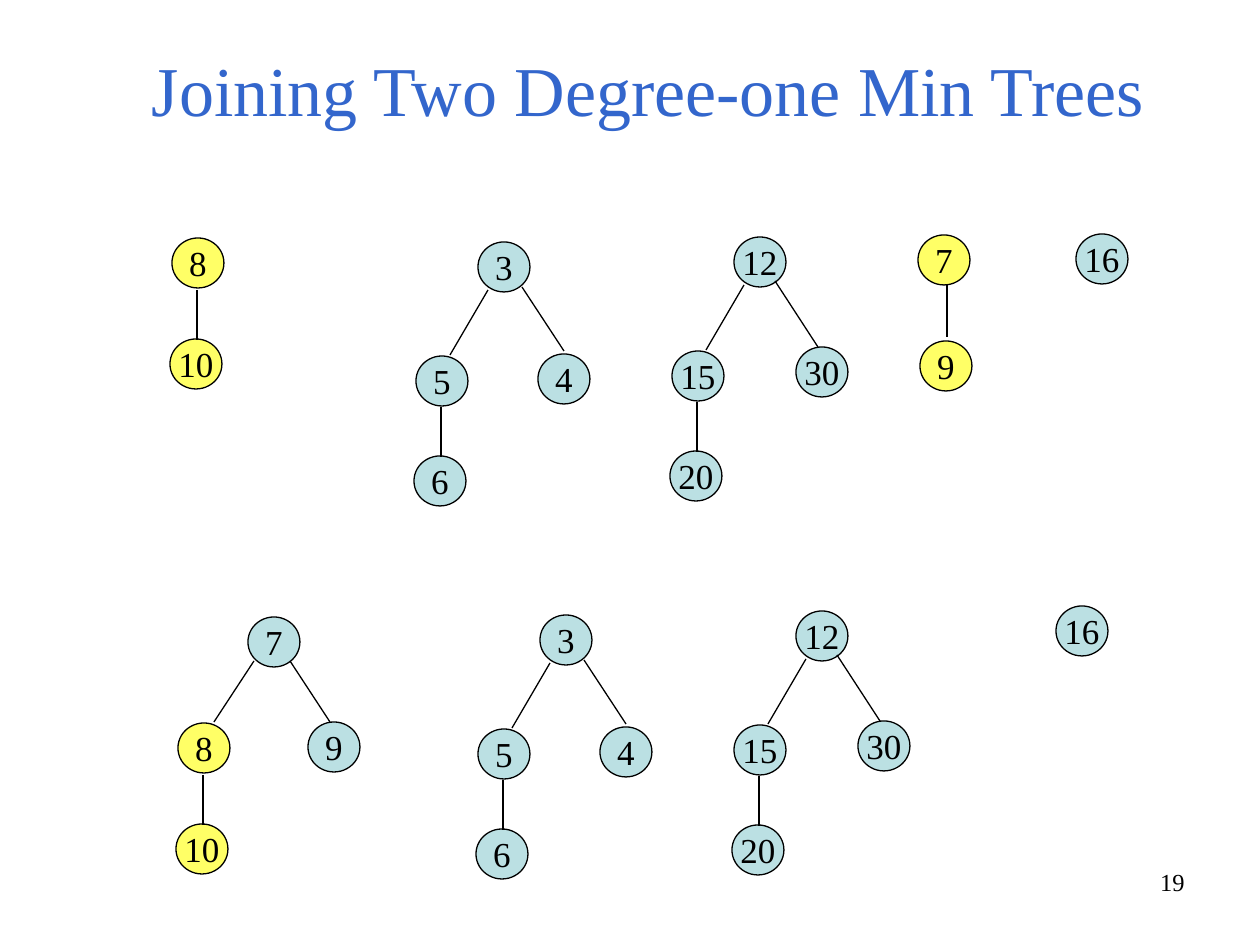
from dataclasses import dataclass

import pptx
import pptx.dml.color
import pptx.enum.shapes
import pptx.enum.text
import pptx.util
from lxml import etree

EMU_PER_PX = 914400 / 126
FONT = "Times New Roman"
COLORS = {
    "ink": "000000",
    "title": "3366CC",
    "node": "BBE0E3",
    "joined": "FFFF66",
}
NODE_WIDTH, NODE_HEIGHT = 52, 50
ALIGN = pptx.enum.text.PP_ALIGN
ANCHOR = pptx.enum.text.MSO_ANCHOR


@dataclass(frozen=True)
class Node:
    label: str
    x: int
    y: int
    fill: str = "node"


@dataclass(frozen=True)
class Edge:
    x1: int
    y1: int
    x2: int
    y2: int


@dataclass(frozen=True)
class Tree:
    nodes: tuple[Node, ...]
    edges: tuple[Edge, ...] = ()


def degree_two_tree(labels: tuple[str, str, str], right: Node, right_edge: Edge) -> Tree:
    root, left, leaf = labels
    return Tree(
        (Node(root, 0, 0), Node(left, -62, 114), Node(leaf, -64, 214), right),
        (Edge(10, 48, -28, 113), Edge(-37, 165, -37, 215), right_edge),
    )


EIGHT = Tree(
    (Node("8", 0, 0, "joined"), Node("10", -2, 101, "joined")),
    (Edge(25, 52, 25, 102),),
)
SEVEN = Tree(
    (Node("7", 0, 0, "joined"), Node("9", 2, 106, "joined")),
    (Edge(29, 50, 29, 102),),
)
JOINED_SEVEN = Tree(
    (Node("7", 0, 0), Node("9", 60, 105)),
    (Edge(6, 44, -34, 105), Edge(42, 44, 82, 105)),
)
THREE = degree_two_tree(("3", "5", "6"), Node("4", 60, 112), Edge(44, 45, 86, 109))
TWELVE = degree_two_tree(("12", "15", "20"), Node("30", 62, 110), Edge(41, 44, 84, 110))
SIXTEEN = Tree((Node("16", 0, 0),))

PLACED_TREES = (
    (EIGHT, 172, 238),
    (THREE, 478, 242),
    (TWELVE, 734, 237),
    (SEVEN, 918, 235),
    (SIXTEEN, 1076, 234),
    (EIGHT, 178, 723),
    (JOINED_SEVEN, 248, 617),
    (THREE, 540, 615),
    (TWELVE, 796, 611),
    (SIXTEEN, 1056, 606),
)


def px(length: int) -> int:
    return round(length * EMU_PER_PX)


def color(name: str) -> pptx.dml.color.RGBColor:
    return pptx.dml.color.RGBColor.from_string(COLORS[name])


def write_text(box, text: str, size: int, ink: str, align, anchor, wrap: bool) -> None:
    frame = box.text_frame
    frame.word_wrap = wrap
    frame.auto_size = pptx.enum.text.MSO_AUTO_SIZE.NONE
    frame.vertical_anchor = anchor
    para = frame.paragraphs[0]
    para.alignment = align
    span = para.add_run()
    span.text = text
    span.font.name = FONT
    span.font.size = pptx.util.Pt(size)
    span.font.color.rgb = color(ink)


def style_line(shape) -> None:
    shape.line.color.rgb = color("ink")
    shape.line.width = pptx.util.Pt(0.75)


def draw_node(page, node: Node, left: int, top: int) -> None:
    circle = page.shapes.add_shape(
        pptx.enum.shapes.MSO_SHAPE.OVAL,
        px(left + node.x), px(top + node.y), px(NODE_WIDTH), px(NODE_HEIGHT),
    )
    circle.shadow.inherit = False
    circle.fill.solid()
    circle.fill.fore_color.rgb = color(node.fill)
    style_line(circle)
    write_text(circle, node.label, 20, "ink", ALIGN.CENTER, ANCHOR.MIDDLE, False)


def draw_edge(page, edge: Edge, left: int, top: int) -> None:
    connector = page.shapes.add_connector(
        pptx.enum.shapes.MSO_CONNECTOR.STRAIGHT,
        px(left + edge.x1), px(top + edge.y1), px(left + edge.x2), px(top + edge.y2),
    )
    style_line(connector)
    etree.SubElement(connector._element.spPr, pptx.oxml.ns.qn("a:effectLst"))


def draw_tree(page, tree: Tree, left: int, top: int) -> None:
    for node in tree.nodes:
        draw_node(page, node, left, top)
    for edge in tree.edges:
        draw_edge(page, edge, left, top)


def main() -> None:
    deck = pptx.Presentation()
    deck.slide_width, deck.slide_height = px(1260), px(945)
    page = deck.slides.add_slide(deck.slide_layouts[5])

    title = page.shapes.title
    title.left, title.top, title.width, title.height = px(94), px(44), px(1108), px(93)
    write_text(title, "Joining Two Degree-one Min Trees", 40, "title",
               ALIGN.CENTER, ANCHOR.BOTTOM, True)

    number = page.shapes.add_textbox(px(903), px(861), px(294), px(66))
    write_text(number, "19", 14, "ink", ALIGN.RIGHT, ANCHOR.TOP, True)

    for tree, left, top in PLACED_TREES:
        draw_tree(page, tree, left, top)

    deck.save("out.pptx")


if __name__ == "__main__":
    main()
